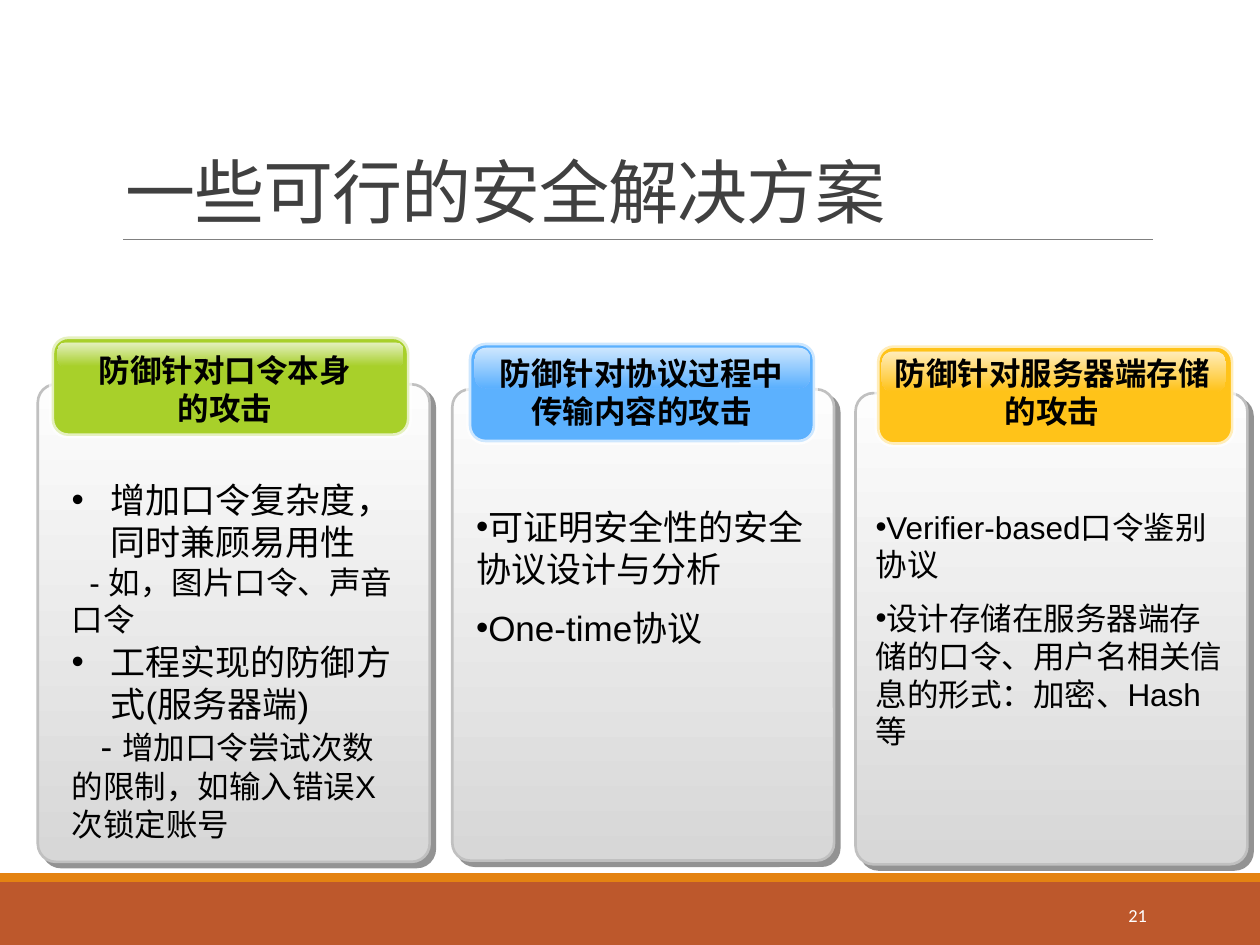
import pptx
import pptx.util
import pptx.dml.color
import pptx.enum.shapes
import pptx.enum.text
import pptx.oxml
import pptx.oxml.ns
import lxml.etree

Inches, Pt = pptx.util.Inches, pptx.util.Pt
RGBColor = pptx.dml.color.RGBColor
SHAPE = pptx.enum.shapes.MSO_SHAPE
ALIGN = pptx.enum.text.PP_ALIGN
ANCHOR = pptx.enum.text.MSO_ANCHOR
qn = pptx.oxml.ns.qn

WHITE = RGBColor(0xFF, 0xFF, 0xFF)
BLACK = RGBColor(0x00, 0x00, 0x00)
TITLE_GREY = RGBColor(0x40, 0x40, 0x40)
RULE_GREY = RGBColor(0x80, 0x80, 0x80)
RUST = RGBColor(0xBD, 0x58, 0x2C)
ORANGE = RGBColor(0xE4, 0x83, 0x12)
CARD_TOP = RGBColor(0xFD, 0xFD, 0xFD)
CARD_BOTTOM = RGBColor(0xD7, 0xD7, 0xD7)
CARD_EDGE = RGBColor(0xC0, 0xC0, 0xC0)
GREEN = RGBColor(0xA8, 0xD0, 0x2A)
BLUE = RGBColor(0x5C, 0xB1, 0xFE)
YELLOW = RGBColor(0xFF, 0xC3, 0x19)
SHADOW = (
    '<a:effectLst xmlns:a="http://schemas.openxmlformats.org/drawingml/2006/main">'
    '<a:outerShdw dist="53340" dir="2700000" algn="ctr" rotWithShape="0">'
    '<a:srgbClr val="292929"><a:alpha val="50000"/></a:srgbClr>'
    '</a:outerShdw></a:effectLst>')

prs = pptx.Presentation()
prs.slide_width, prs.slide_height = Inches(10), Inches(7.5)
slide = prs.slides.add_slide(prs.slide_layouts[6])


def add_block(preset, box, colors, radius=None):
    """Borderless shape; two colours make a top-to-bottom gradient."""
    block = slide.shapes.add_shape(preset, *map(Inches, box))
    block.shadow.inherit = False
    block.line.fill.background()
    if radius:
        block.adjustments[0] = radius
    if len(colors) == 1:
        block.fill.solid()
        block.fill.fore_color.rgb = colors[0]
    else:
        block.fill.gradient()
        block.fill.gradient_angle = 270
        for stop, color, position in zip(block.fill.gradient_stops, colors, (0, 1)):
            stop.color.rgb = color
            stop.position = position
    return block


def add_text(box, paragraphs, font="Arial", color=BLACK, bold=None, align=None,
             anchor=ANCHOR.TOP, wrap=True):
    """Paragraphs are (runs, margin, first-line indent, bullet, space before);
    runs are (text, size)."""
    frame = slide.shapes.add_textbox(*map(Inches, box)).text_frame
    frame.word_wrap = wrap
    frame.vertical_anchor = anchor
    for number, (runs, margin, indent, bullet, before) in enumerate(paragraphs):
        paragraph = frame.add_paragraph() if number else frame.paragraphs[0]
        paragraph.alignment = align
        if before:
            paragraph.space_before = Pt(before)
        properties = paragraph._p.get_or_add_pPr()
        properties.set("marL", str(Inches(margin)))
        properties.set("indent", str(Inches(indent)))
        if bullet:
            lxml.etree.SubElement(properties, qn("a:buFont")).set("typeface", "Arial")
            lxml.etree.SubElement(properties, qn("a:buChar")).set("char", "•")
        for text, size in runs:
            run = paragraph.add_run()
            run.text = text
            run.font.name = font
            run.font.size = Pt(size)
            run.font.bold = bold
            run.font.color.rgb = color
    return frame


# Footer bands and title rule
add_block(SHAPE.RECTANGLE, (0, 7, 10, 0.5), [RUST])
add_block(SHAPE.RECTANGLE, (0, 6.93, 10, 0.07), [ORANGE])
rule = slide.shapes.add_connector(pptx.enum.shapes.MSO_CONNECTOR.STRAIGHT,
                                  Inches(0.98), Inches(1.9), Inches(9.15), Inches(1.9))
rule.line.color.rgb = RULE_GREY
rule.line.width = Pt(0.5)
lxml.etree.SubElement(rule._element.spPr, qn("a:effectLst"))

# Title
title = add_text((0.9, 0.31, 8.25, 1.59), [([("一些可行的安全解决方案", 40)], 0, 0, False, 0)],
                 "Calibri", TITLE_GREY, anchor=ANCHOR.BOTTOM)
title.paragraphs[0].line_spacing = 0.85
title.paragraphs[0].runs[0].font._element.set("spc", "-50")

# Three solution cards: card, header, gloss, heading and body places, then content
solutions = [
    ((0.3, 3.05, 3.11, 3.79), (0.41, 2.67, 2.84, 0.79), (0.46, 2.72, 2.74, 0.19),
     (0.45, 2.74, 2.67, 0.71), (0.47, 3.75, 2.78, 3.03), GREEN, True,
     ["防御针对口令本身", "的攻击"],
     [([("增加口令复杂度，同时兼顾易用性", 20)], 0.31, -0.31, True, 0),
      ([("- 如，图片口令、声音口令", 18)], 0, 0.14, False, 0),
      ([("工程实现的防御方式(服务器端)", 20)], 0.31, -0.31, True, 1.5),
      ([("- ", 20), ("增加口令尝试次数的限制，如输入错误X次锁定账号", 18)], 0, 0.23, False, 0)]),
    ((3.59, 3.09, 3.03, 3.74), (3.72, 2.72, 2.75, 0.79), (3.77, 2.76, 2.66, 0.32),
     (3.72, 2.76, 2.74, 0.71), (3.68, 3.96, 2.93, 1.28), BLUE, True,
     ["防御针对协议过程中", "传输内容的攻击"],
     [([("可证明安全性的安全协议设计与分析", 20)], 0, 0, True, 0),
      ([("One-time协议", 20)], 0, 0, True, 10)]),
    ((6.79, 3.12, 3.11, 3.74), (6.96, 2.74, 2.83, 0.79), (7, 2.79, 2.73, 0.32),
     (6.98, 2.76, 2.74, 0.71), (6.85, 3.98, 3.01, 2.47), YELLOW, False,
     ["防御针对服务器端存储", "的攻击"],
     [([("Verifier-based口令鉴别协议", 18)], 0, 0, True, 0),
      ([("设计存储在服务器端存储的口令、用户名相关信息的形式：加密、Hash等", 18)],
       0, 0, True, 9)]),
]
for (card_box, header_box, gloss_box, heading_box, body_box,
     accent, wrap, heading, body) in solutions:
    card = add_block(SHAPE.ROUNDED_RECTANGLE, card_box, [CARD_TOP, CARD_BOTTOM], 0.046)
    card.line.color.rgb = CARD_EDGE
    card.line.width = Pt(1.5)
    properties = card._element.spPr
    properties.replace(properties.find(qn("a:effectLst")), pptx.oxml.parse_xml(SHADOW))

    header = add_block(SHAPE.ROUNDED_RECTANGLE, header_box, [accent], 0.167)
    header.line.color.rgb = WHITE
    header.line.width = Pt(3)
    gloss = add_block(SHAPE.ROUNDED_RECTANGLE, gloss_box, [WHITE, accent], 0.284)
    # Header edge and gloss are 70 % opaque
    for translucent in (header.line._ln, gloss._element.spPr):
        for color in translucent.iter(qn("a:srgbClr")):
            lxml.etree.SubElement(color, qn("a:alpha")).set("val", "70000")

    add_text(heading_box, [([(line, 18)], 0, 0, False, 0) for line in heading],
             bold=True, align=ALIGN.CENTER, wrap=wrap)
    add_text(body_box, body)

# Slide number
add_text((8.12, 7.06, 1.08, 0.4), [([("21", 10.5)], 0, 0, False, 0)],
         "Calibri", WHITE, align=ALIGN.RIGHT, anchor=ANCHOR.MIDDLE)

prs.save("out.pptx")
